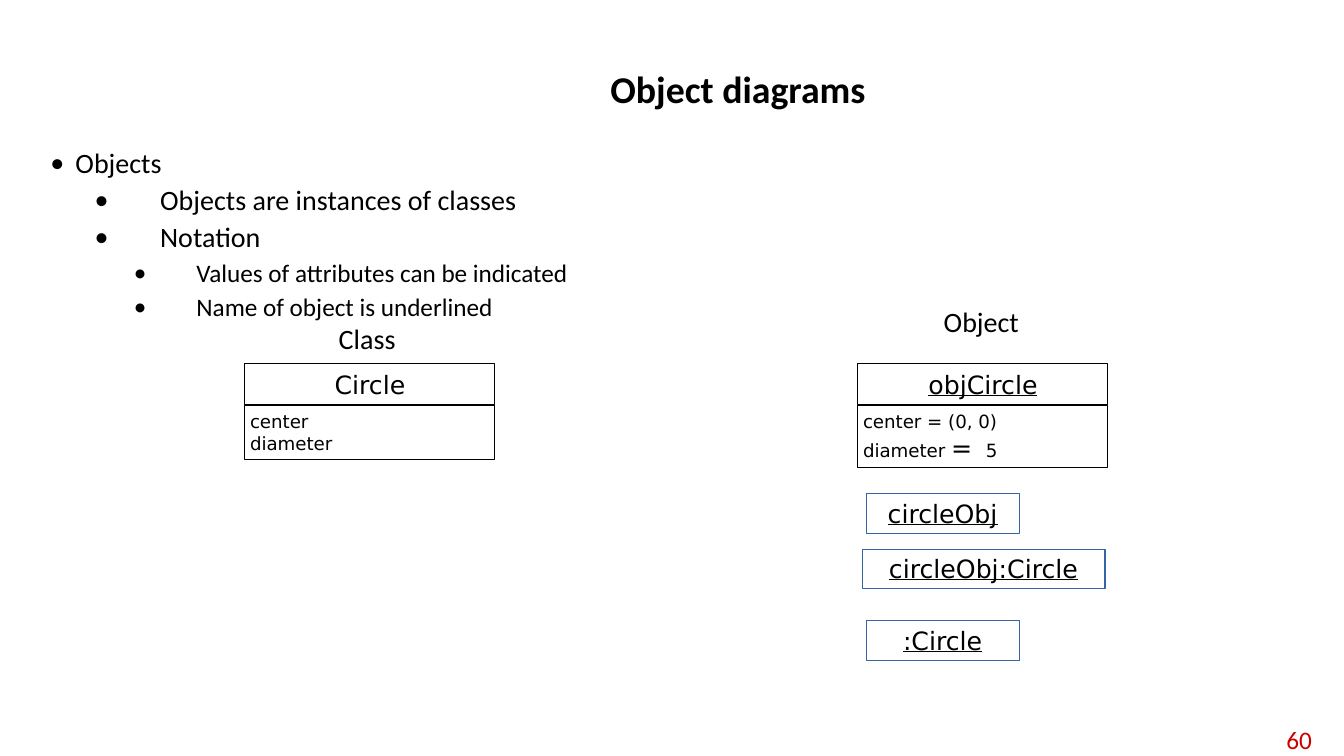
from dataclasses import dataclass

from lxml.etree import SubElement
from pptx import Presentation
from pptx.dml.color import RGBColor
from pptx.enum.shapes import MSO_SHAPE as Shape
from pptx.enum.text import MSO_ANCHOR as Anchor, MSO_AUTO_SIZE as AutoSize, PP_ALIGN as Align
from pptx.oxml.ns import qn
from pptx.util import Inches, Pt

WIDTH, HEIGHT = Inches(13.33), Inches(7.5)


@dataclass(frozen=True)
class Theme:
    text: str = "000000"
    number: str = "CC0000"
    name_border: str = "3465A4"
    prose: str = "Calibri"
    diagram: str = "DejaVu Sans"
    title: int = 27
    large: int = 20
    medium: int = 18
    small: int = 13


THEME = Theme()

# Indent, hanging width (inches), space before and size for each outline level
LEVELS = [
    (0.25, 0.25, 10, THEME.large),
    (1.09, 0.65, 5, THEME.large),
    (1.45, 0.62, 5, THEME.medium),
]
OUTLINE = [
    (0, "Objects"),
    (1, "Objects are instances of classes"),
    (1, "Notation"),
    (2, "Values of attributes can be indicated"),
    (2, "Name of object is underlined"),
]


def apply(target, values):
    for name, value in values.items():
        setattr(target, name, value)


def area(left, top, width, height):
    """Turn percentages of the slide into a position and a size."""
    shares = (left, WIDTH), (top, HEIGHT), (width, WIDTH), (height, HEIGHT)
    return [round(share * side / 100) for share, side in shares]


def set_frame(shape, inset=None, **values):
    frame = shape.text_frame
    apply(frame, {"word_wrap": True, "vertical_anchor": Anchor.TOP, **values})
    if inset is not None:
        sides = ("left", "top", "right", "bottom")
        apply(frame, {f"margin_{side}": Inches(inset) for side in sides})
    return frame


def add_run(paragraph, text, size, font=THEME.prose, color=THEME.text, **values):
    run = paragraph.add_run()
    run.text = text
    apply(run.font, {"size": Pt(size), "name": font, **values})
    run.font.color.rgb = RGBColor.from_string(color)


def set_border(shape, color):
    shape.line.color.rgb = RGBColor.from_string(color)
    shape.line.width = Pt(0.75)


def set_title(slide, text):
    title = slide.shapes.title
    apply(title, dict(zip(("left", "top", "width", "height"), area(16.73, 5.33, 76.37, 13.6))))
    frame = set_frame(title, vertical_anchor=Anchor.MIDDLE, auto_size=AutoSize.NONE)
    paragraph = frame.paragraphs[0]
    apply(paragraph, {"alignment": Align.CENTER, "line_spacing": 0.9})
    add_run(paragraph, text, THEME.title, bold=True)


def add_outline(slide, items):
    frame = set_frame(slide.shapes.add_textbox(*area(3, 19.07, 90.02, 68.93)))
    for index, (level, text) in enumerate(items):
        paragraph = frame.add_paragraph() if index else frame.paragraphs[0]
        indent, hanging, space, size = LEVELS[level]
        apply(paragraph, {
            "level": level,
            "line_spacing": 0.9,
            "space_before": Pt(space if index else 0),
        })
        properties = paragraph._p.get_or_add_pPr()
        properties.set("marL", str(Inches(indent)))
        properties.set("indent", str(-Inches(hanging)))
        SubElement(properties, qn("a:buFont")).set("typeface", THEME.prose)
        SubElement(properties, qn("a:buChar")).set("char", "•")
        add_run(paragraph, text, size)


def add_label(slide, text, place):
    frame = set_frame(slide.shapes.add_textbox(*area(*place)), 0.05, word_wrap=False,
                      vertical_anchor=Anchor.MIDDLE, auto_size=AutoSize.SHAPE_TO_FIT_TEXT)
    add_run(frame.paragraphs[0], text, THEME.large)


def add_compartment(group, place, lines, alignment, underline=False):
    """Add one box of a UML card; each line is a list of (text, size)."""
    shape = group.shapes.add_shape(Shape.RECTANGLE, *area(*place))
    shape.shadow.inherit = False
    shape.fill.background()
    set_border(shape, THEME.text)
    frame = set_frame(shape, 0.05, auto_size=AutoSize.SHAPE_TO_FIT_TEXT)
    for index, runs in enumerate(lines):
        paragraph = frame.add_paragraph() if index else frame.paragraphs[0]
        paragraph.alignment = alignment
        for text, size in runs:
            add_run(paragraph, text, size, THEME.diagram, underline=underline)


def add_card(slide, left, name, attributes, height, underline=False):
    group = slide.shapes.add_group_shape()
    add_compartment(group, (left, 53.6, 18.6, height), attributes, Align.LEFT)
    add_compartment(group, (left, 48.13, 18.6, 5.4), [[(name, THEME.medium)]],
                    Align.CENTER, underline)


def add_object_name(slide, text, left, top, width):
    box = slide.shapes.add_textbox(*area(left, top, width, 5.2))
    set_border(box, THEME.name_border)
    paragraph = set_frame(box, 0.04, auto_size=AutoSize.SHAPE_TO_FIT_TEXT).paragraphs[0]
    paragraph.alignment = Align.CENTER
    add_run(paragraph, text, THEME.medium, THEME.diagram, underline=True)


def add_slide_number(slide, text):
    box = slide.shapes.add_textbox(*area(93.17, 95.47, 5.18, 4.8))
    paragraph = set_frame(box, vertical_anchor=Anchor.MIDDLE).paragraphs[0]
    paragraph.alignment = Align.RIGHT
    add_run(paragraph, text, THEME.medium, color=THEME.number)


def main():
    presentation = Presentation()
    apply(presentation, {"slide_width": WIDTH, "slide_height": HEIGHT})
    slide = presentation.slides.add_slide(presentation.slide_layouts.get_by_name("Title Only"))

    # Heading and outline
    add_slide_number(slide, "60")
    set_title(slide, "Object diagrams")
    add_outline(slide, OUTLINE)

    # Other ways to write an object's name
    add_object_name(slide, "circleObj", 64.44, 65.33, 11.4)
    add_object_name(slide, "circleObj:Circle", 64.14, 72.67, 18.08)
    add_object_name(slide, ":Circle", 64.44, 82.13, 11.4)

    # Object and class cards
    small, medium = THEME.small, THEME.medium
    add_card(slide, 63.84, "objCircle", [
        [("center = (0, 0)", small)],
        [("diameter ", small), ("= ", medium), (" 5", small)],
    ], 8.27, underline=True)
    add_card(slide, 18.23, "Circle", [[("center", small)], [("diameter", small)]], 7.2)
    add_label(slide, "Class", (24.83, 41.87, 5.4, 5.73))
    add_label(slide, "Object", (69.84, 39.6, 6.5, 5.73))

    presentation.save("out.pptx")


if __name__ == "__main__":
    main()
